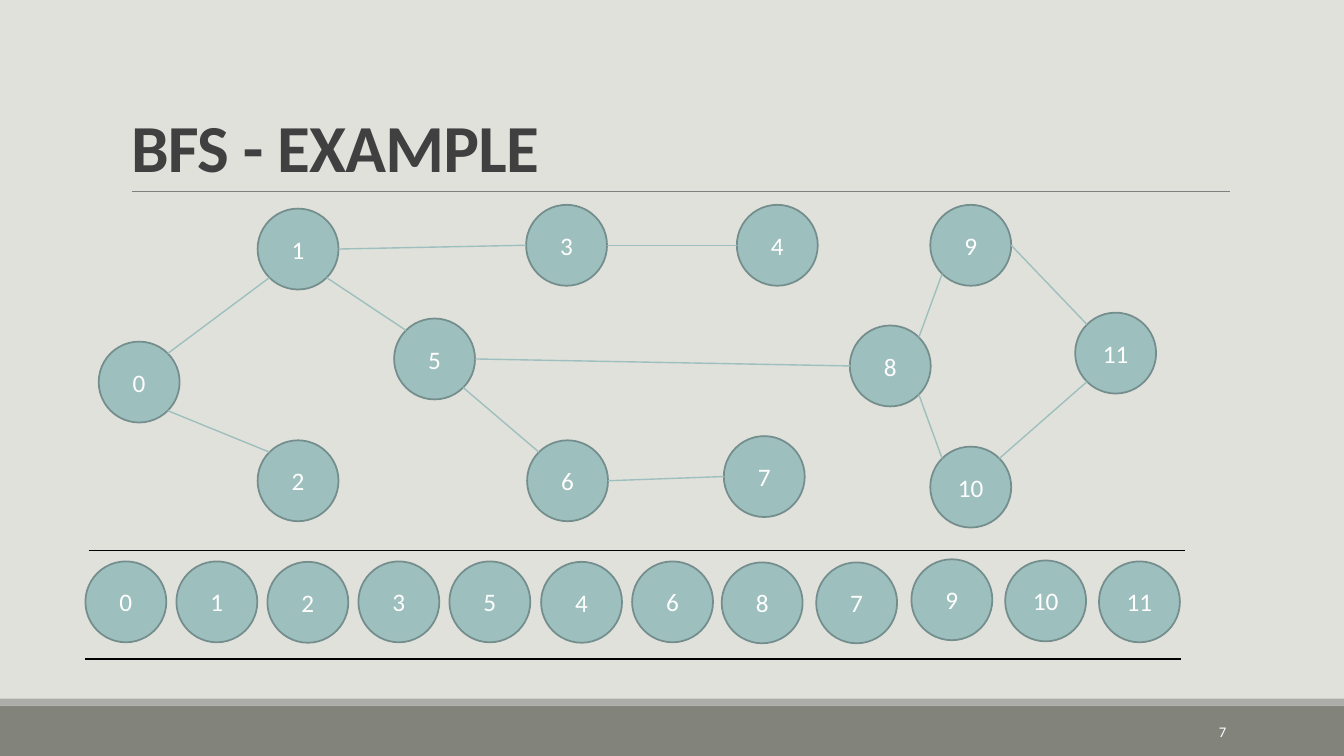
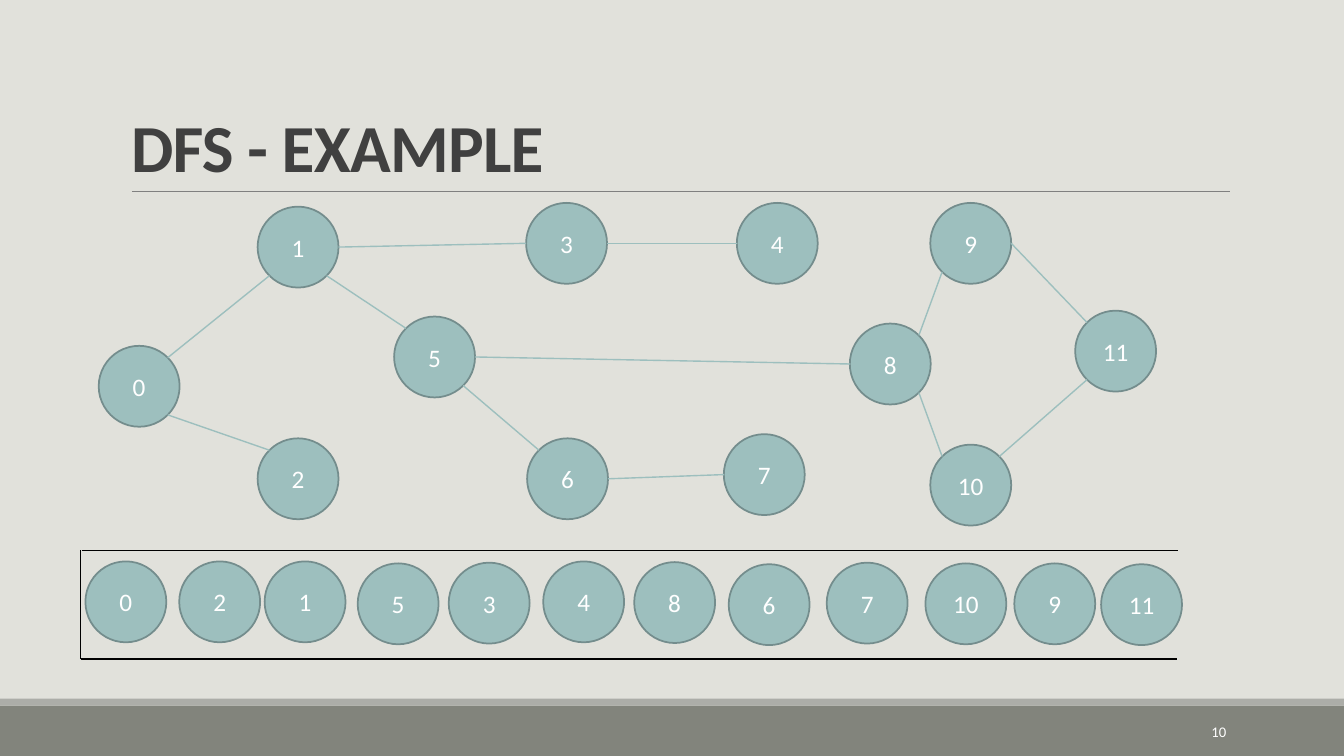
import math

from lxml import etree
from pptx import Presentation
from pptx.dml.color import RGBColor
from pptx.enum import shapes, text
from pptx.oxml.ns import qn
from pptx.util import Pt

COLORS = {
    "background": "E1E1DB", "footer": "82847C", "footer_edge": "ACADA8",
    "title": "404040", "title_rule": "808080", "node": "9DBFBE",
    "node_outline": "748D8D", "light": "FFFFFF", "queue_rule": "000000",
}
FONT = "Calibri"
WIDTH, HEIGHT = 960, 540
DIAMETER = 57.8
QUEUE_TOP, QUEUE_BOTTOM = 393.2, 470.8

# Connection sites of an ellipse, counterclockwise from the top
SITES = ["top", "top left", "left", "bottom left",
         "bottom", "bottom right", "right", "top right"]

# Vertex: left, top
GRAPH = {
    0: (70.5, 244), 1: (184, 149), 2: (184, 314.5), 3: (375.8, 146.3),
    4: (526.3, 146.3), 5: (281.5, 227.5), 6: (376.5, 314.5), 7: (517, 311.5),
    8: (607, 232.5), 9: (664.5, 146.3), 10: (664.5, 319), 11: (768, 223.3),
}
EDGES = [
    (0, "top right", 1, "bottom left"), (0, "bottom right", 2, "top left"),
    (1, "right", 3, "left"), (3, "right", 4, "left"),
    (1, "bottom right", 5, "top left"), (5, "bottom right", 6, "top left"),
    (5, "right", 8, "left"), (6, "right", 7, "left"),
    (8, "top right", 9, "bottom left"), (8, "bottom right", 10, "top left"),
    (9, "right", 11, "top left"), (10, "top right", 11, "bottom left"),
]

# visits: vertex, left, top; rules: x1, y1, x2, y2
TRAVERSALS = [
    {
        "title": "BFS - EXAMPLE", "number": 7, "graph": GRAPH,
        "visits": [
            (0, 61, 401), (1, 126, 401), (2, 191, 401.3), (3, 256, 401),
            (5, 321, 401), (4, 386.5, 401.3), (6, 451.5, 401), (8, 515.5, 401.7),
            (7, 583, 401.7), (9, 651, 399.5), (10, 718, 400.3), (11, 785, 401),
        ],
        "rules": [(63.5, QUEUE_TOP, 846.5, QUEUE_TOP),
                  (61, QUEUE_BOTTOM, 843.5, QUEUE_BOTTOM)],
    },
    {
        "title": "DFS - EXAMPLE", "number": 10,
        "graph": {**{vertex: (left, top - 1.4) for vertex, (left, top) in GRAPH.items()},
                  0: (70.5, 247)},
        "visits": [
            (0, 61, 401), (2, 128, 401), (1, 189, 401), (5, 255.5, 402.4),
            (3, 320.5, 401.9), (4, 388, 401), (8, 453, 401.5), (6, 520.5, 403),
            (7, 590.5, 401.9), (10, 661, 402.4), (9, 724.5, 402.4), (11, 786.5, 403),
        ],
        "rules": [(58.3, QUEUE_TOP, 841.5, QUEUE_TOP),
                  (57.6, QUEUE_BOTTOM, 840.5, QUEUE_BOTTOM),
                  (57.6, QUEUE_BOTTOM, 57.6, QUEUE_TOP)],
    },
]


def rgb(name):
    return RGBColor.from_string(COLORS[name])


def write(frame, content, size, color, align, anchor, bold=False):
    frame.text = content
    frame.word_wrap = True
    frame.vertical_anchor = anchor
    paragraph = frame.paragraphs[0]
    paragraph.alignment = align
    font = paragraph.font
    font.name, font.size, font.bold = FONT, Pt(size), bold
    font.color.rgb = rgb(color)
    return paragraph


def add_line(slide, x1, y1, x2, y2, color, weight=1):
    line = slide.shapes.add_connector(
        shapes.MSO_CONNECTOR.STRAIGHT, Pt(x1), Pt(y1), Pt(x2), Pt(y2))
    line.line.color.rgb = rgb(color)
    line.line.width = Pt(weight)
    etree.SubElement(line.element.spPr, qn("a:effectLst"))
    return line


def add_filled(slide, preset, left, top, width, height, color):
    shape = slide.shapes.add_shape(preset, Pt(left), Pt(top), Pt(width), Pt(height))
    shape.shadow.inherit = False
    shape.fill.solid()
    shape.fill.fore_color.rgb = rgb(color)
    shape.line.fill.background()
    return shape


def add_node(slide, vertex, left, top):
    node = add_filled(slide, shapes.MSO_SHAPE.OVAL, left, top, DIAMETER, DIAMETER, "node")
    node.line.color.rgb = rgb("node_outline")
    node.line.width = Pt(1.25)
    write(node.text_frame, str(vertex), 18, "light",
          text.PP_ALIGN.CENTER, text.MSO_ANCHOR.MIDDLE)
    return node


def site_point(corner, site):
    """Point on a node's outline, given its top-left corner and a site name."""
    angle = math.radians(90 + 45 * SITES.index(site))
    radius = DIAMETER / 2
    left, top = corner
    return left + radius * (1 + math.cos(angle)), top + radius * (1 - math.sin(angle))


def add_graph(slide, graph):
    nodes = {vertex: add_node(slide, vertex, *corner) for vertex, corner in graph.items()}
    for start, start_site, end, end_site in EDGES:
        edge = add_line(slide, *site_point(graph[start], start_site),
                        *site_point(graph[end], end_site), "node")
        glue = edge.element.find(".//" + qn("p:cNvCxnSpPr"))
        for tag, vertex, site in (("a:stCxn", start, start_site), ("a:endCxn", end, end_site)):
            etree.SubElement(glue, qn(tag), id=str(nodes[vertex].shape_id),
                             idx=str(SITES.index(site)))


def add_frame(slide, title, number):
    """Background, footer bands, title with its rule, and page number."""
    slide.background.fill.solid()
    slide.background.fill.fore_color.rgb = rgb("background")
    for top, height, color in ((504, 36, "footer"), (499, 5, "footer_edge")):
        add_filled(slide, shapes.MSO_SHAPE.RECTANGLE, 0, top, WIDTH, height, color)
    add_line(slide, 94.3, 136.6, 878.8, 136.6, "title_rule", 0.5)

    heading = slide.shapes.title
    heading.left, heading.top, heading.width, heading.height = map(Pt, (86.4, 22.6, 792, 114.2))
    paragraph = write(heading.text_frame, title, 48, "title",
                      text.PP_ALIGN.LEFT, text.MSO_ANCHOR.BOTTOM, bold=True)
    paragraph.line_spacing = 0.85
    paragraph.runs[0].font.fill  # creates the run properties
    paragraph.runs[0].font._rPr.set("spc", "-50")

    page = slide.shapes.add_textbox(Pt(780), Pt(508.5), Pt(103), Pt(28.8))
    write(page.text_frame, str(number), 10.5, "light",
          text.PP_ALIGN.RIGHT, text.MSO_ANCHOR.MIDDLE)


def main():
    prs = Presentation()
    prs.slide_width, prs.slide_height = Pt(WIDTH), Pt(HEIGHT)
    title_only = prs.slide_layouts[5]
    for traversal in TRAVERSALS:
        slide = prs.slides.add_slide(title_only)
        add_frame(slide, traversal["title"], traversal["number"])
        add_graph(slide, traversal["graph"])
        for visit in traversal["visits"]:
            add_node(slide, *visit)
        for rule in traversal["rules"]:
            add_line(slide, *rule, "queue_rule")
    prs.save("out.pptx")


if __name__ == "__main__":
    main()
